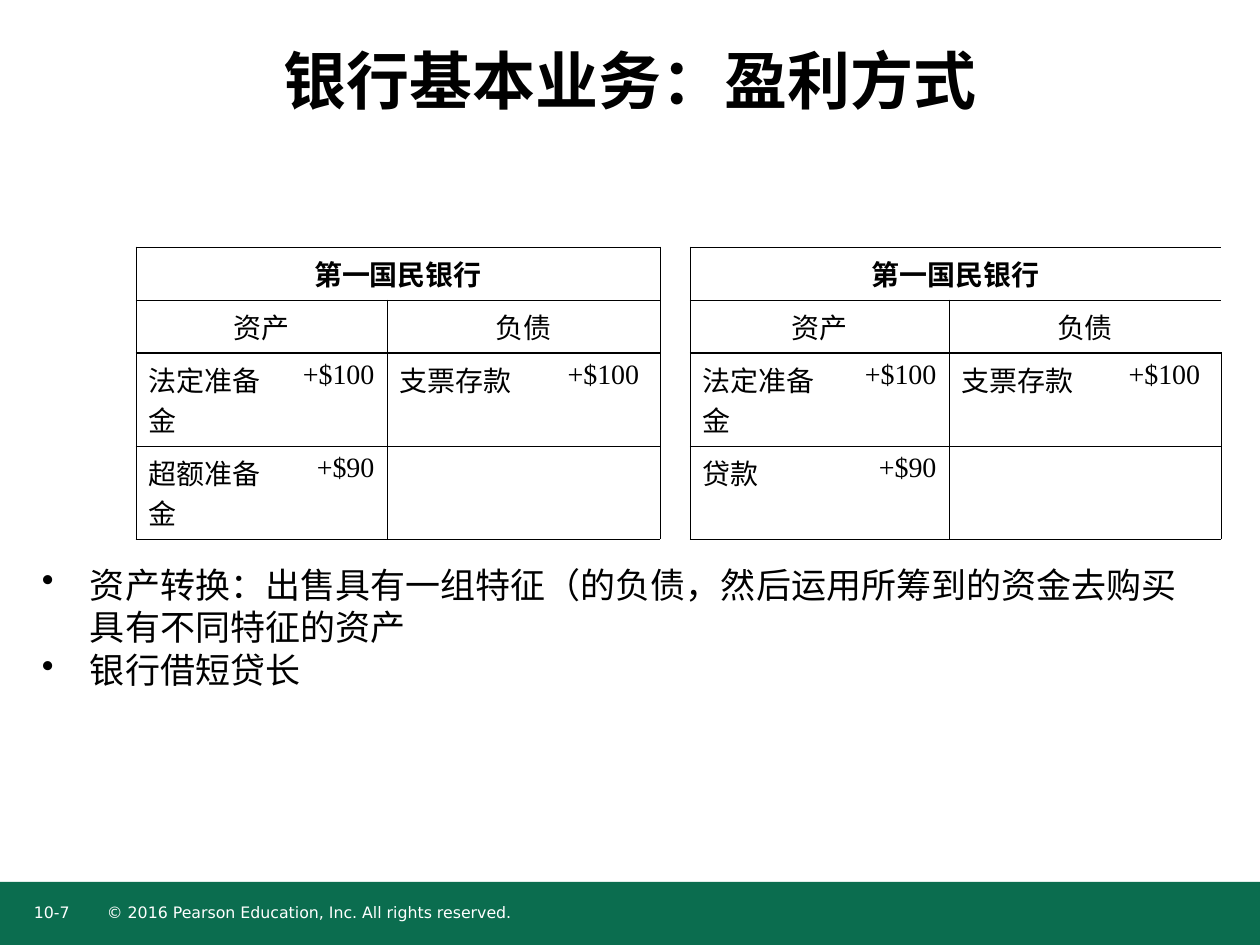
from lxml import etree
from pptx import Presentation
from pptx import util as u
from pptx.dml.color import RGBColor
from pptx.enum import shapes, text
from pptx.oxml.ns import qn

EMU_PER_PX = 914400 // 126
BLACK, WHITE, GREEN = "000000", "FFFFFF", "0B6D4F"
SANS, SERIF = "DejaVu Sans", "Times New Roman"
LEFT, CENTER, RIGHT = text.PP_ALIGN.LEFT, text.PP_ALIGN.CENTER, text.PP_ALIGN.RIGHT

COLUMNS = [146, 105, 168, 105, 30, 154, 105, 167, 105]
ROWS = [53, 53, 93, 93]
GAP = 4  # empty column between the two balance sheets
SHEETS = {0: "超额准备金", GAP + 1: "贷款"}  # first column: second asset


def px(n):
    return u.Emu(n * EMU_PER_PX)


def color(value):
    return RGBColor.from_string(value)


def edge_widths(row, col):
    """Border widths in points of one grid cell; 0 means no line."""
    starts = (0, 4, 5, 9) if row == 0 else (0, 2, 4, 5, 7, 9)

    def vertical(x):
        return 0 if x not in starts else 0.23 if x in (GAP, GAP + 1) else 0.45

    def horizontal(y):
        return 0 if col == GAP else 0.75 if y == 2 else 0.45

    return {"a:lnL": vertical(col), "a:lnR": vertical(col + 1),
            "a:lnT": horizontal(row), "a:lnB": horizontal(row + 1)}


class Deck:
    def __init__(self, width, height):
        self.prs = Presentation()
        self.prs.slide_width, self.prs.slide_height = px(width), px(height)
        self.s = self.prs.slides.add_slide(self.prs.slide_layouts[6])

    def style(self, p, size, font, fill=BLACK, bold=False, align=LEFT):
        p.alignment = align
        for r in p.runs:
            r.font.size, r.font.name, r.font.bold = u.Pt(size), font, bold
            r.font.color.rgb = color(fill)

    def bar(self, x, y, w, h, fill):
        sp = self.s.shapes.add_shape(shapes.MSO_SHAPE.RECTANGLE, px(x), px(y), px(w), px(h))
        sp.shadow.inherit = False
        sp.fill.solid()
        sp.fill.fore_color.rgb = color(fill)
        sp.line.fill.background()

    def label(self, x, y, w, h, words, size, anchor=text.MSO_ANCHOR.TOP, **look):
        tf = self.s.shapes.add_textbox(px(x), px(y), px(w), px(h)).text_frame
        tf.word_wrap = True
        tf.vertical_anchor = anchor
        tf.margin_left = tf.margin_top = tf.margin_right = tf.margin_bottom = 0
        tf.text = words
        for p in tf.paragraphs:
            self.style(p, size, SANS, **look)
        return tf

    def bullets(self, x, y, w, h, items, size, indent):
        tf = self.label(x, y, w, h, "\n".join(items), size)
        tf.margin_right = u.Inches(0.1)
        for i, p in enumerate(tf.paragraphs):
            if i:
                p.space_before = u.Pt(1)
            pPr = p._p.get_or_add_pPr()
            pPr.set("marL", str(px(indent)))
            pPr.set("indent", str(-px(indent)))
            etree.SubElement(pPr, qn("a:buChar"), char="•")

    def table(self, x, y, columns, rows):
        frame = self.s.shapes.add_table(len(rows), len(columns), px(x), px(y),
                                        px(sum(columns)), px(sum(rows)))
        table = frame.table
        table.first_row = table.horz_banding = False
        for col, w in zip(table.columns, columns):
            col.width = px(w)
        for row, h in zip(table.rows, rows):
            row.height = px(h)
        for r in range(len(rows)):
            for c in range(len(columns)):
                self.borders(table.cell(r, c), edge_widths(r, c))
        return table

    def borders(self, cell, widths):
        tcPr = cell._tc.get_or_add_tcPr()
        for tag, width in widths.items():
            ln = etree.SubElement(tcPr, qn(tag), w=str(u.Pt(width)))
            if width:
                fill = etree.SubElement(ln, qn("a:solidFill"))
                etree.SubElement(fill, qn("a:srgbClr"), val=BLACK)
            else:
                etree.SubElement(ln, qn("a:noFill"))
        cell.fill.background()

    def cell(self, table, row, col, words, span=1, **look):
        cell = table.cell(row, col)
        if span > 1:
            cell.merge(table.cell(row, col + span - 1))
        cell.text = words
        self.style(cell.text_frame.paragraphs[0], 16, SERIF, **look)


def main():
    deck = Deck(1260, 945)
    deck.bar(0, 882, 1260, 63, GREEN)
    deck.label(107, 903, 743, 25, "© 2016 Pearson Education, Inc. All rights reserved.", 9, fill=WHITE)
    deck.label(34, 903, 49, 25, "10-7", 9, fill=WHITE)
    deck.label(53, 0, 1155, 158, "银行基本业务：盈利方式", 36,
               anchor=text.MSO_ANCHOR.MIDDLE, bold=True, align=CENTER)
    deck.bullets(42, 563, 1176, 287, [
        "资产转换：出售具有一组特征（的负债，然后运用所筹到的资金去购买具有不同特征的资产",
        "银行借短贷长",
    ], 20, 48)

    table = deck.table(136, 247, COLUMNS, ROWS)
    table.cell(0, GAP).merge(table.cell(2, GAP))
    for first, second_asset in SHEETS.items():
        deck.cell(table, 0, first, "第一国民银行", span=4, bold=True, align=CENTER)
        deck.cell(table, 1, first, "资产", span=2, align=CENTER)
        deck.cell(table, 1, first + 2, "负债", span=2, align=CENTER)
        deck.cell(table, 2, first, "法定准备金")
        deck.cell(table, 2, first + 1, "+$100", align=RIGHT)
        deck.cell(table, 2, first + 2, "支票存款")
        deck.cell(table, 2, first + 3, "+$100")
        deck.cell(table, 3, first, second_asset)
        deck.cell(table, 3, first + 1, "+$90", align=RIGHT)
    deck.prs.save("out.pptx")


if __name__ == "__main__":
    main()
